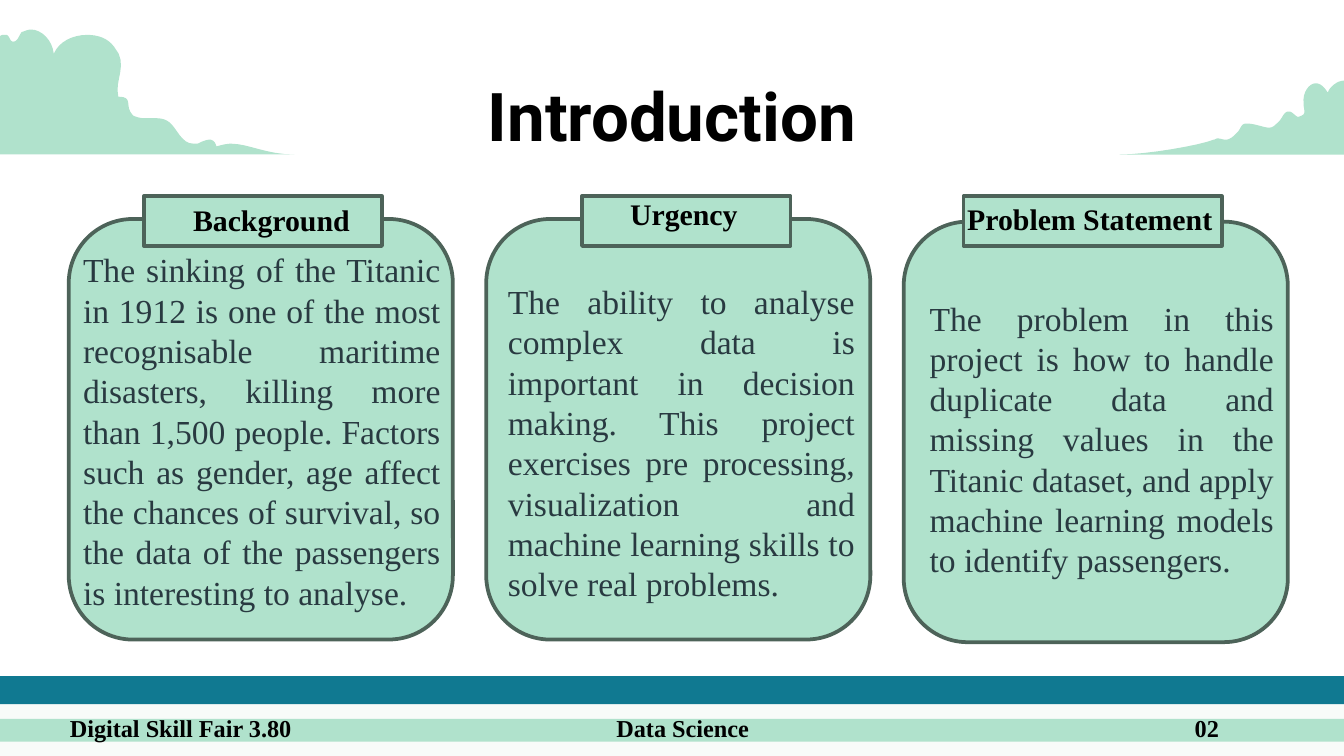
from dataclasses import dataclass

from pptx import Presentation
from pptx.dml.color import RGBColor
from pptx.enum.shapes import MSO_SHAPE
from pptx.enum.text import MSO_ANCHOR, MSO_AUTO_SIZE, PP_ALIGN
from pptx.util import Cm, Pt


@dataclass(frozen=True)
class Theme:
    mint: str = "B0E2CC"
    teal: str = "107991"
    pale: str = "F8FBF9"
    outline: str = "4D6359"
    black: str = "000000"
    slate: str = "293A41"
    heading_font: str = "Roboto"
    text_font: str = "Times New Roman"
    title_size: int = 36
    body_size: int = 18
    label_size: int = 16
    footer_size: int = 13
    outline_width: int = 2


THEME = Theme()
SLIDE_WIDTH, SLIDE_HEIGHT = 25.4, 14.29
INSET = 0.25

TITLE = {"name": THEME.heading_font, "size": THEME.title_size, "color": THEME.black, "bold": True}
LABEL = {"name": THEME.text_font, "size": THEME.label_size, "color": THEME.black, "bold": True}
FOOTER = {**LABEL, "size": THEME.footer_size}
BODY = {**LABEL, "size": THEME.body_size, "color": THEME.slate, "bold": False}

# Bands: top, height, colour
BANDS = [
    (12.78, 1.51, THEME.pale),
    (12.78, 0.53, THEME.teal),
    (13.59, 0.43, THEME.mint),
]
# Footer entries: text, left, width
FOOTERS = [
    ("Digital Skill Fair 3.80", 1.07, 7),
    ("Data Science", 11.4, 5),
    ("02", 22.33, 2.5),
]
CARD_LEFT, CARD_PITCH, CARD_SIZE = 1.3, 7.89, (7.26, 7.95)
TAB_TOP, TAB_HEIGHT = 3.71, 0.94
# Boxes are left, top, width, height; a tab is left, width
CARDS = [
    {
        "label": "Background",
        "body": "The sinking of the Titanic in 1912 is one of the most recognisable maritime "
                "disasters, killing more than 1,500 people. Factors such as gender, age affect "
                "the chances of survival, so the data of the passengers is interesting to analyse.",
        "top": 4.14, "tab": (2.72, 4.5),
        "label_box": (3.4, 3.68, 4, 0.94), "body_box": (1.32, 5.79, 7.26, 4.7),
    },
    {
        "label": "Urgency",
        "body": "The ability to analyse complex data is important in decision making. This "
                "project exercises pre processing, visualization and machine learning skills "
                "to solve real problems.",
        "top": 4.14, "tab": (11, 3.94),
        "label_box": (11.66, 3.56, 3, 0.94), "body_box": (9.35, 6.05, 7.06, 4.62),
    },
    {
        "label": "Problem Statement",
        "body": "The problem in this project is how to handle duplicate data and missing values "
                "in the Titanic dataset, and apply machine learning models to identify passengers.",
        "top": 4.19, "tab": (18.21, 4.88),
        "label_box": (18.03, 3.66, 5.6, 0.94), "body_box": (17.32, 5.94, 7.01, 4.7),
    },
]

# Cloud outlines in hundredths of an inch: start, cubic curves (two controls, end), slide corner
CLOUD_UNIT = 0.0254
LEFT_CLOUD = ((219, 115), [
    (198, 115, 185, 107, 172, 107), (168, 107, 165, 108, 161, 109),
    (160, 105, 158, 104, 156, 104), (153, 104, 149, 106, 147, 107),
    (146, 107, 145, 107, 144, 107), (135, 107, 132, 96, 126, 91),
    (122, 88, 118, 88, 114, 88), (112, 88, 109, 88, 107, 88),
    (104, 88, 101, 87, 99, 86), (92, 79, 100, 72, 88, 72),
    (85, 59, 96, 48, 85, 35), (80, 28, 72, 26, 65, 26),
    (54, 26, 44, 31, 40, 40), (39, 30, 31, 22, 23, 22),
    (21, 22, 19, 23, 16, 24), (14, 27, 13, 31, 10, 31),
    (9, 31, 9, 31, 8, 30), (7, 29, 7, 27, 5, 26),
    (4, 26, 3, 26, 3, 26), (2, 26, 1, 26, 0, 27),
], (0, 115))
RIGHT_CLOUD = ((1000, 60), [
    (995, 60, 989, 65, 988, 69), (985, 64, 982, 62, 979, 62),
    (974, 62, 969, 69, 970, 77), (970, 83, 973, 85, 966, 87),
    (964, 87, 962, 83, 959, 83), (959, 83, 959, 83, 958, 83),
    (955, 84, 954, 88, 952, 90), (948, 94, 947, 95, 944, 95),
    (942, 95, 939, 94, 935, 93), (931, 92, 929, 92, 927, 92),
    (925, 92, 924, 93, 922, 97), (917, 103, 914, 104, 912, 104),
    (910, 104, 908, 103, 906, 103), (905, 103, 904, 104, 903, 104),
    (893, 108, 854, 115, 833, 115),
], (1000, 115))


def paint(shape, fill, outline=None):
    shape.shadow.inherit = False
    shape.fill.solid()
    shape.fill.fore_color.rgb = RGBColor.from_string(fill)
    if outline is None:
        shape.line.fill.background()
    else:
        shape.line.color.rgb = RGBColor.from_string(outline)
        shape.line.width = Pt(THEME.outline_width)


def add_block(page, kind, box, fill, outline=None):
    paint(page.shapes.add_shape(kind, *map(Cm, box)), fill, outline)


def write(frame, text, style, inset, anchor=MSO_ANCHOR.TOP, align=PP_ALIGN.LEFT):
    settings = {
        "word_wrap": True, "auto_size": MSO_AUTO_SIZE.NONE, "vertical_anchor": anchor,
        "margin_left": Cm(INSET), "margin_right": Cm(INSET),
        "margin_top": Cm(inset), "margin_bottom": Cm(inset),
    }
    for name, value in settings.items():
        setattr(frame, name, value)
    para = frame.paragraphs[0]
    para.alignment = align
    span = para.add_run()
    span.text = text
    for name, value in style.items():
        if name == "color":
            span.font.color.rgb = RGBColor.from_string(value)
        else:
            setattr(span.font, name, Pt(value) if name == "size" else value)


def add_text(page, box, text, style, inset=INSET, **layout):
    write(page.shapes.add_textbox(*map(Cm, box)).text_frame, text, style, inset, **layout)


def curve_points(start, curves, steps=8):
    """Yield points along a chain of cubic Bézier curves."""
    x0, y0 = start
    for x1, y1, x2, y2, x3, y3 in curves:
        for step in range(1, steps + 1):
            t = step / steps
            u = 1 - t
            yield tuple(
                u**3 * a + 3 * u * u * t * b + 3 * u * t * t * c + t**3 * d
                for a, b, c, d in ((x0, x1, x2, x3), (y0, y1, y2, y3))
            )
        x0, y0 = x3, y3


def add_cloud(page, start, curves, corner):
    points = [start, *curve_points(start, curves), corner]
    first, *rest = [(Cm(x * CLOUD_UNIT), Cm(y * CLOUD_UNIT)) for x, y in points]
    builder = page.shapes.build_freeform(*first)
    builder.add_line_segments(rest, close=True)
    paint(builder.convert_to_shape(), THEME.mint)


def add_title(page, text):
    title = page.shapes.title
    for name, value in {"left": 2, "top": 1.5, "width": 21.4, "height": 1.32}.items():
        setattr(title, name, Cm(value))
    write(title.text_frame, text, TITLE, INSET, MSO_ANCHOR.MIDDLE, PP_ALIGN.CENTER)


def add_card(page, index, card):
    left = CARD_LEFT + index * CARD_PITCH
    tab_left, tab_width = card["tab"]
    add_block(page, MSO_SHAPE.ROUNDED_RECTANGLE, (left, card["top"], *CARD_SIZE),
              THEME.mint, THEME.outline)
    add_block(page, MSO_SHAPE.RECTANGLE, (tab_left, TAB_TOP, tab_width, TAB_HEIGHT),
              THEME.mint, THEME.outline)
    add_text(page, card["label_box"], card["label"], LABEL, inset=0.13)
    add_text(page, card["body_box"], card["body"], BODY,
             anchor=MSO_ANCHOR.MIDDLE, align=PP_ALIGN.JUSTIFY)


def main():
    deck = Presentation()
    deck.slide_width, deck.slide_height = Cm(SLIDE_WIDTH), Cm(SLIDE_HEIGHT)
    title_only = deck.slide_layouts[5]
    page = deck.slides.add_slide(title_only)

    for top, height, color in BANDS:
        add_block(page, MSO_SHAPE.RECTANGLE, (0, top, SLIDE_WIDTH, height), color)
    for cloud in (LEFT_CLOUD, RIGHT_CLOUD):
        add_cloud(page, *cloud)
    add_title(page, "Introduction")
    for text, left, width in FOOTERS:
        add_text(page, (left, 13.23, width, 1), text, FOOTER)
    for index, card in enumerate(CARDS):
        add_card(page, index, card)

    deck.save("out.pptx")


if __name__ == "__main__":
    main()
